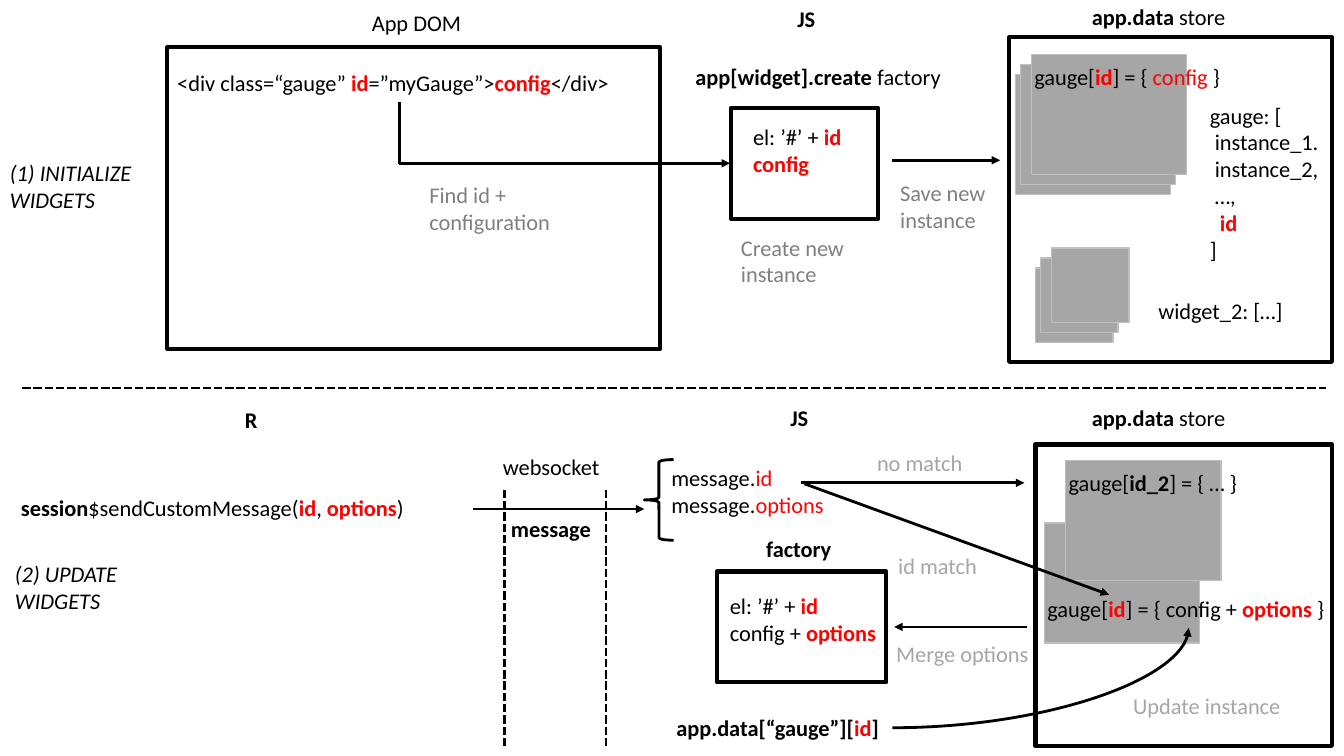
"""Build the slide on initializing and updating widgets."""
from lxml import etree
from pptx import Presentation
from pptx.dml.color import RGBColor
from pptx.enum import dml, shapes, text
from pptx.oxml import ns
from pptx.util import Inches, Pt

BLACK = RGBColor(0, 0, 0)
RED = RGBColor(0xFF, 0, 0)
GRAY = RGBColor(0x80, 0x80, 0x80)
SILVER = RGBColor(0xA6, 0xA6, 0xA6)
EDGE = RGBColor(0xBF, 0xBF, 0xBF)


def strong(words):
    return words, True, None


def red(words):
    return words, None, RED


def key(words):
    return words, True, RED


class Diagram:
    """Draws styled elements on one slide."""

    def __init__(self, slide, font="Calibri", size=16):
        self.shapes = slide.shapes
        self.font = font
        self.size = size

    def shape(self, kind, left, top, width, height, fill=None, line=BLACK, weight=3):
        item = self.shapes.add_shape(kind, *map(Inches, (left, top, width, height)))
        item.shadow.inherit = False
        if fill is None:
            item.fill.background()
        else:
            item.fill.solid()
            item.fill.fore_color.rgb = fill
        item.line.color.rgb = line
        item.line.width = Pt(weight)

    def frame(self, left, top, width, height):
        self.shape(shapes.MSO_SHAPE.RECTANGLE, left, top, width, height)

    def card(self, left, top, width, height):
        self.shape(shapes.MSO_SHAPE.RECTANGLE, left, top, width, height, SILVER, EDGE, 1)

    def stack(self, left, top, width, height):
        for dx, dy in ((0, 0.2), (0.05, 0.1), (0.16, 0)):
            self.card(left + dx, top + dy, width, height)

    def line(self, start, end, arrow=True, dashed=False, preset="line"):
        item = self.shapes.add_connector(
            shapes.MSO_CONNECTOR.STRAIGHT, *map(Inches, (*start, *end)))
        item.line.color.rgb = BLACK
        item.line.width = Pt(2)
        if dashed:
            item.line.dash_style = dml.MSO_LINE.SQUARE_DOT
        properties = item._element.spPr
        properties.find(ns.qn("a:prstGeom")).set("prst", preset)
        if arrow:
            etree.SubElement(item.line._get_or_add_ln(), ns.qn("a:tailEnd"), type="triangle")
        etree.SubElement(properties, ns.qn("a:effectLst"))
        return item

    def elbow(self, start, end):
        (x1, y1), (x2, y2) = start, end
        x, y = (x1 + x2) / 2, (y1 + y2) / 2
        across, down = (x2 - x1) / 2, (y2 - y1) / 2
        item = self.line((x + down, y - across), (x - down, y + across),
                         preset="bentConnector2")
        item._element.spPr.find(ns.qn("a:xfrm")).set("rot", str(270 * 60000))

    def text(self, left, top, width, *lines, color=BLACK, bold=False, italic=False,
             wrap=True, indents=(), height=None):
        height = height or 0.1 + 0.27 * len(lines)
        box = self.shapes.add_textbox(*map(Inches, (left, top, width, height)))
        frame = box.text_frame
        frame.word_wrap = wrap
        frame.auto_size = text.MSO_AUTO_SIZE.SHAPE_TO_FIT_TEXT
        for index, runs in enumerate(lines):
            paragraph = frame.add_paragraph() if index else frame.paragraphs[0]
            font = paragraph.font
            font.name, font.size = self.font, Pt(self.size)
            font.bold, font.italic = bold, italic
            font.color.rgb = color
            if indents:
                paragraph._p.get_or_add_pPr().set("marL", str(Inches(indents[index])))
            for part in [runs] if isinstance(runs, str) else runs:
                words, heavy, tint = (part, None, None) if isinstance(part, str) else part
                run = paragraph.add_run()
                run.text = words
                if heavy:
                    run.font.bold = True
                if tint:
                    run.font.color.rgb = tint


def draw_initialize(diagram):
    diagram.frame(10.01, 0.37, 3.2, 3.22)
    diagram.frame(7.25, 1.07, 1.46, 1.1)
    diagram.frame(1.66, 0.47, 4.89, 2.99)
    diagram.stack(10.07, 0.54, 1.54, 1.19)
    diagram.stack(10.27, 2.46, 0.77, 0.74)
    diagram.line((8.85, 1.59), (9.92, 1.59))
    diagram.elbow((3.96, 1.01), (7.24, 1.62))
    diagram.text(0, 1.53, 1.69, "(1) INITIALIZE WIDGETS", italic=True, height=0.64)
    diagram.text(3.59, 0.04, 1.1, "App DOM", wrap=False)
    diagram.text(1.66, 0.64, 4.6, ("<div class=“gauge” ", key("id"), "=”myGauge”>",
                                   key("config"), "</div>"))
    diagram.text(7.81, 0, 0.38, "JS", bold=True, wrap=False)
    diagram.text(6.8, 0.58, 2.67, (strong("app[widget].create "), "factory"), wrap=False)
    diagram.text(7.37, 1.17, 1.22, ("el: ’#’ + ", key("id")), (key("config"),))
    for left, top, width, step in ((4.16, 1.75, 1.62, "Find id + configuration"),
                                   (7.25, 2.27, 1.62, "Create new instance"),
                                   (8.83, 1.73, 1.26, "Save new instance")):
        diagram.text(left, top, width, step, color=GRAY, height=0.64)
    diagram.text(10.73, -0.02, 1.55, (strong("app.data "), "store"), wrap=False)
    diagram.text(10.16, 0.58, 2.34, ("gauge[", key("id"), "] = { ", red("config"), " }"))
    diagram.text(11.9, 0.96, 1.71, "gauge: [", "instance_1.", "instance_2,", "…,",
                 (key("id"),), "]", indents=(0, 0.05, 0.05, 0.05, 0.1, 0))
    diagram.text(11.39, 2.9, 1.45, "widget_2: […]", wrap=False)


def draw_update(diagram):
    diagram.frame(10.27, 4.41, 2.94, 2.99)
    diagram.frame(7.11, 5.67, 1.68, 1.1)
    for left, top in ((10.36, 5.19), (10.57, 4.57)):
        diagram.card(left, top, 1.54, 1.19)
    diagram.shape(shapes.MSO_SHAPE.LEFT_BRACE, 6.39, 4.56, 0.29, 0.8, weight=2)
    for x in (5, 6.01):
        diagram.line((x, 4.86), (x, 7.4), arrow=False, dashed=True)
    for start, end in (((4.69, 5.05), (6.39, 5.05)), ((7.94, 4.79), (10.16, 4.79)),
                       ((7.98, 4.8), (11, 5.9)), ((10.19, 6.22), (8.87, 6.22))):
        diagram.line(start, end)
    diagram.line((8.85, 7.22), (11.79, 6.23), preset="curvedConnector2")
    diagram.text(0.05, 5.51, 1.42, "(2) UPDATE WIDGETS", italic=True, height=0.64)
    diagram.text(2.33, 3.98, 0.82, "R", bold=True)
    diagram.text(0.11, 4.85, 4.66, (strong("session"), "$sendCustomMessage(", key("id"),
                                    ", ", key("options"), ")"))
    diagram.text(4.89, 4.45, 1.17, "websocket", wrap=False)
    for left, top, width, heading in ((4.97, 5.06, 1, "message"), (7.74, 3.96, 0.38, "JS"),
                                      (7.5, 5.26, 0.86, "factory")):
        diagram.text(left, top, width, heading, bold=True, wrap=False)
    diagram.text(6.56, 4.56, 2.09, ("message.", red("id")), ("message.", red("options")))
    diagram.text(7.14, 5.83, 1.77, ("el: ’#’ + ", key("id")),
                 ("config +", key(" options")))
    diagram.text(6.61, 7.04, 2.24, ("app.data[“gauge”][", red("id"), "]"),
                 bold=True, wrap=False)
    diagram.text(10.73, 3.96, 1.55, (strong("app.data"), " store"), wrap=False)
    diagram.text(10.5, 4.61, 2.34, ("gauge[", strong("id_2"), "] = { … }"))
    diagram.text(10.29, 5.86, 3, ("gauge[", key("id"), "] = { config + ",
                                  key("options "), "}"))
    for left, top, width, step in ((8.6, 4.41, 1.35, "no match"),
                                   (8.81, 5.43, 1.35, "id match"),
                                   (8.79, 6.3, 1.53, "Merge options"),
                                   (11.14, 6.82, 1.68, "Update instance")):
        diagram.text(left, top, width, step, color=SILVER, wrap=step.endswith("match"))


presentation = Presentation()
presentation.slide_width, presentation.slide_height = Inches(13.33), Inches(7.5)
widgets = Diagram(presentation.slides.add_slide(presentation.slide_layouts[6]))
draw_initialize(widgets)
widgets.line((0.22, 3.85), (13.15, 3.85), arrow=False, dashed=True)
draw_update(widgets)
presentation.save("out.pptx")
